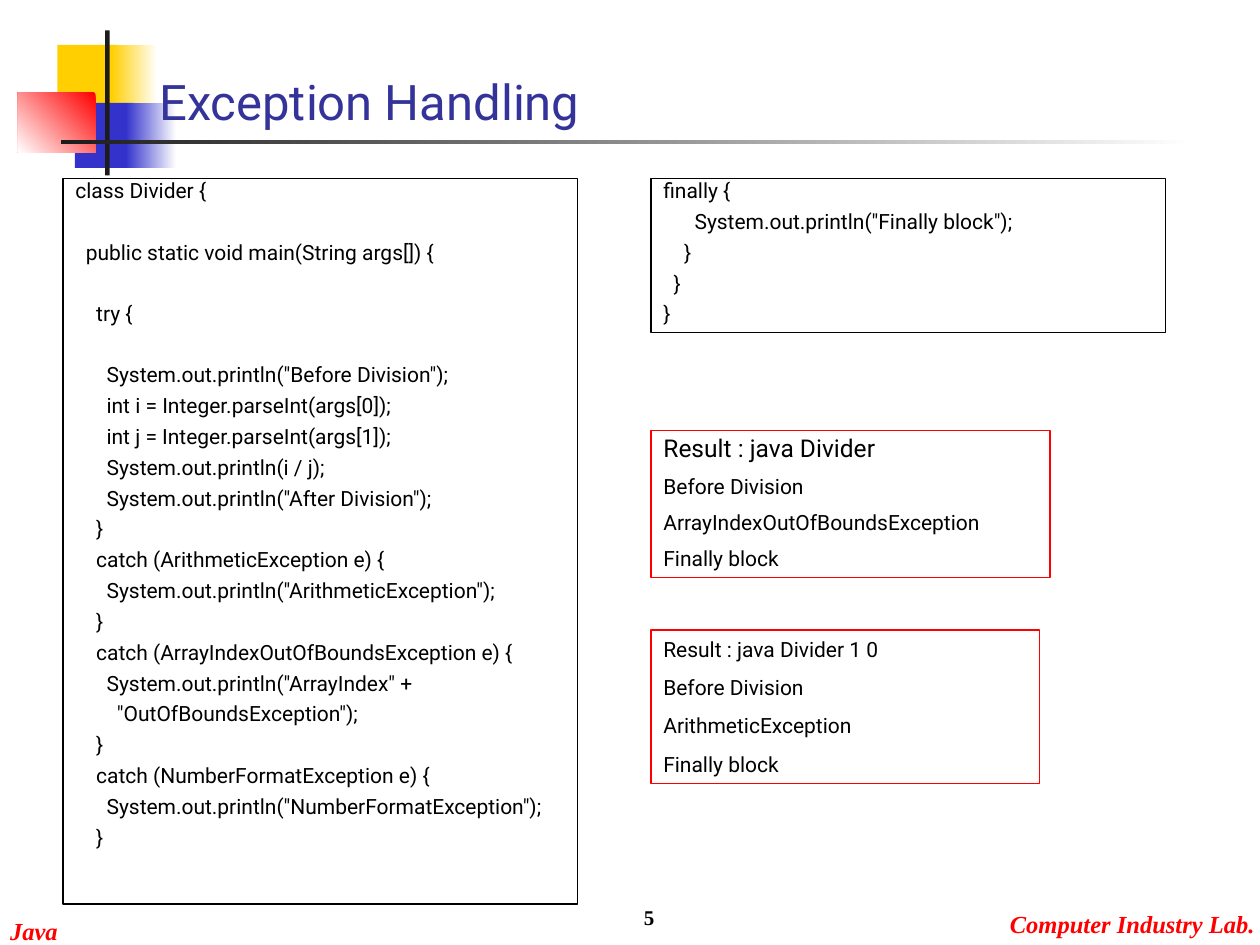
from pptx import Presentation
from pptx.dml.color import RGBColor
from pptx.enum.shapes import MSO_SHAPE as Shape
from pptx.enum.text import MSO_ANCHOR as Anchor, PP_ALIGN as Align
from pptx.util import Inches, Pt

COLORS = {
    "black": "000000", "white": "FFFFFF", "red": "FF0000", "yellow": "FFCF01",
    "blue": "3333CC", "title": "333399", "bar": "1C1C1C",
}
SANS, SERIF = "Roboto", "Times New Roman"
COLS, ROWS = 120, 90  # square grid cells, twelve to the inch
CELL = Inches(10) // COLS
LINE_PITCH = 17.5  # points from one code line to the next

MAIN_CODE = """class Divider {

  public static void main(String args[]) {

    try {

      System.out.println("Before Division");
      int i = Integer.parseInt(args[0]);
      int j = Integer.parseInt(args[1]);
      System.out.println(i / j);
      System.out.println("After Division");
    }
    catch (ArithmeticException e) {
      System.out.println("ArithmeticException");
    }
    catch (ArrayIndexOutOfBoundsException e) {
      System.out.println("ArrayIndex" +
        "OutOfBoundsException");
    }
    catch (NumberFormatException e) {
      System.out.println("NumberFormatException");
    }"""

FINALLY_CODE = """finally {
      System.out.println("Finally block");
    }
  }
}"""


def rgb(name):
    return RGBColor.from_string(COLORS[name])


def cells(*box):
    return [round(v * CELL) for v in box]


def share(box, x, y, w, h):
    """Turn shares of a box into a box on the grid."""
    left, top, width, height = box
    return left + x * width, top + y * height, w * width, h * height


def add_box(s, box, fill=None, fade=None, angle=180, line=None):
    sp = s.shapes.add_shape(Shape.RECTANGLE, *cells(*box))
    sp.shadow.inherit = False
    if fade:
        sp.fill.gradient()
        sp.fill.gradient_angle = angle
        for stop, name in zip(sp.fill.gradient_stops, fade):
            stop.color.rgb = rgb(name)
    elif fill:
        sp.fill.solid()
        sp.fill.fore_color.rgb = rgb(fill)
    else:
        sp.fill.background()
    if line:
        sp.line.color.rgb = rgb(line)
        sp.line.width = Pt(0.75)
    else:
        sp.line.fill.background()
    return sp


def write(sp, text, size=12, first_size=None, font=SANS, color="black", bold=False,
          italic=False, align=Align.LEFT, anchor=Anchor.MIDDLE, wrap=True,
          spacing=1.0, before=7.5, inset=0.1):
    """Fill a shape with lines; an empty line widens the gap before the next."""
    tf = sp.text_frame
    tf.word_wrap = wrap
    tf.vertical_anchor = anchor
    tf.margin_left = tf.margin_right = Inches(inset)
    tf.margin_top = tf.margin_bottom = Inches(0.05)
    p, gap = None, 0
    for line in text.split("\n"):
        if not line:
            gap += LINE_PITCH
            continue
        first = p is None
        p = tf.paragraphs[0] if first else tf.add_paragraph()
        p.alignment, p.line_spacing = align, spacing
        p.space_before = Pt(0 if first else before + gap)
        r = p.add_run()
        r.text = line
        f = r.font
        f.name, f.bold, f.italic = font, bold, italic
        f.size = Pt(first_size if first and first_size else size)
        f.color.rgb = rgb(color)
        gap = 0


def add_label(s, box, text, **fmt):
    write(s.shapes.add_textbox(*cells(*box)), text, **fmt)


def draw_ornament(s, box):
    """Overlapping squares, each fading out, behind a vertical bar."""
    for name, x, y, w, fade_x, fade_w in (("yellow", 0.25, 0.10, 0.38, 0.59, 0.29),
                                          ("blue", 0.36, 0.50, 0.37, 0.68, 0.32)):
        add_box(s, share(box, x, y, w, 0.45), fill=name)
        add_box(s, share(box, fade_x, y, fade_w, 0.45), fade=("white", name))
    add_box(s, share(box, 0, 0.43, 0.49, 0.41), fade=("red", "white"), angle=225)
    add_box(s, share(box, 0.55, 0, 0.03, 1), fill="bar")


def draw_header(s, box):
    left, top, width, height = box
    draw_ornament(s, (left, top, 15.1, height))
    add_box(s, (left + 4.1, top + 10.4, 108, 0.4), fade=("white", "bar"))
    add_label(s, (left + 12.3, top + 3.1, 52, 7), "Exception Handling",
              size=28, color="title", anchor=Anchor.BOTTOM)


def draw_code(s, box, code):
    write(add_box(s, box, line="black"), code, spacing=0.7, anchor=Anchor.TOP)


def draw_result(s, box, text, **fmt):
    write(add_box(s, box, line="red"), text, anchor=Anchor.TOP, **fmt)


def draw_footer(s, box):
    left, top, width, height = box
    brand = dict(size=14, font=SERIF, color="red", bold=True, italic=True, wrap=False)
    add_label(s, (left, top + 3.5, 7, 4), "Java", inset=0.08, **brand)
    add_label(s, (left + width - 25, top + 2.9, 25, 4), "Computer Industry Lab.",
              align=Align.RIGHT, inset=0.04, **brand)
    add_label(s, (left + 38.5, top, 25, 6), "5", font=SERIF, bold=True,
              align=Align.RIGHT, anchor=Anchor.BOTTOM)


def main():
    prs = Presentation()
    prs.slide_width, prs.slide_height = COLS * CELL, ROWS * CELL
    s = prs.slides.add_slide(prs.slide_layouts[6])

    draw_header(s, (1.7, 2.9, 112, 13.8))
    # Code on both sides
    draw_code(s, (6, 17, 49, 69.1), MAIN_CODE)
    draw_code(s, (62, 17, 49, 14.7), FINALLY_CODE)
    # Output of the two runs
    draw_result(s, (62, 41, 38, 14),
                "Result : java Divider\nBefore Division\n"
                "ArrayIndexOutOfBoundsException\nFinally block",
                first_size=14, spacing=0.9)
    draw_result(s, (62, 60, 37, 14.6),
                "Result : java Divider 1 0\nBefore Division\n"
                "ArithmeticException\nFinally block")
    draw_footer(s, (0, 83.1, COLS, 6.9))

    prs.save("out.pptx")


if __name__ == "__main__":
    main()
